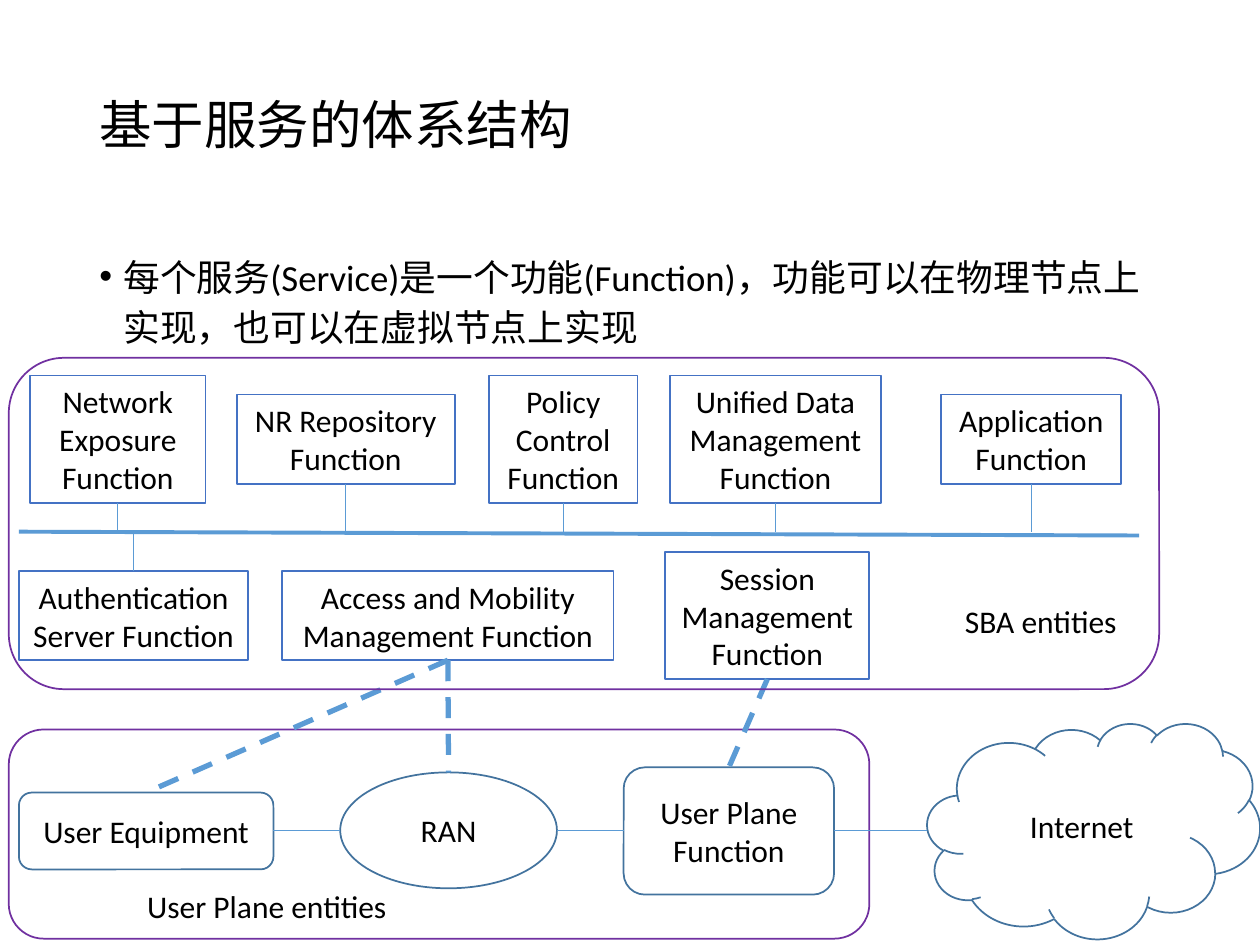
from pptx import Presentation
from pptx.dml.color import RGBColor
from pptx.enum.dml import MSO_LINE
from pptx.enum.shapes import MSO_CONNECTOR, MSO_SHAPE
from pptx.enum.text import MSO_ANCHOR, PP_ALIGN
from pptx.oxml.ns import qn
from pptx.util import Inches, Pt
from lxml.etree import SubElement

COLUMNS, ROWS = 100, 75
CELL = Inches(10) // COLUMNS
BLACK, WHITE = "000000", "FFFFFF"
PURPLE, BLUE, STEEL, SKY = "7030A0", "4472C4", "43739E", "5B9BD5"
BUS_ROW, USER_ROW = 42.2, 65.9

# name, left column, top row, width, height
UPPER_FUNCTIONS = [
    ("Network Exposure Function", 2.4, 29.8, 13.9, 10.1),
    ("NR Repository Function", 18.8, 31.3, 17.3, 7.1),
    ("Policy Control Function", 38.8, 29.8, 11.8, 10.1),
    ("Unified Data Management Function", 53.2, 29.8, 16.7, 10.1),
    ("Application Function", 74.7, 31.3, 14.3, 7.1),
]
LOWER_FUNCTIONS = [
    ("Authentication Server Function", 1.5, 45.3, 18.2, 7.1),
    ("Access and Mobility Management Function", 22.4, 45.3, 26.3, 7.1),
    ("Session Management Function", 52.8, 43.8, 16.2, 10.1),
]
USER_ENTITIES = [
    (MSO_SHAPE.ROUNDED_RECTANGLE, "User Equipment", 1.5, 62.9, 20.2, 6.1),
    (MSO_SHAPE.OVAL, "RAN", 27, 61.3, 17.2, 9.2),
    (MSO_SHAPE.ROUNDED_RECTANGLE, "User Plane\nFunction", 49.5, 60.9, 16.7, 10.1),
]
CLOUD_LEFT = 73.6


def color(value):
    return RGBColor.from_string(value)


def cells(*counts):
    return [round(count * CELL) for count in counts]


class Page:
    """Style and current slide; all lengths are grid columns and rows."""

    font = "Calibri"

    def __init__(self, deck):
        self.shapes = deck.slides.add_slide(deck.slide_layouts[6]).shapes

    def set_text(self, box, text, size=18, align=PP_ALIGN.CENTER, anchor=MSO_ANCHOR.MIDDLE):
        frame = box.text_frame
        frame.word_wrap = True
        frame.vertical_anchor = anchor
        frame.text = text
        for para in frame.paragraphs:
            para.alignment = align
            for span in para.runs:
                span.font.name = self.font
                span.font.size = Pt(size)
                span.font.color.rgb = color(BLACK)

    def label(self, text, left, top, width, height, size=18,
              anchor=MSO_ANCHOR.TOP, wrap=True):
        box = self.shapes.add_textbox(*cells(left, top, width, height))
        self.set_text(box, text, size, PP_ALIGN.LEFT, anchor)
        box.text_frame.word_wrap = wrap
        return box.text_frame.paragraphs[0]

    def bullet(self, text, left, top, width, height, size):
        para = self.label(text, left, top, width, height, size)
        para.line_spacing = 1.14
        para.space_before = Pt(7.5)
        properties = para._p.get_or_add_pPr()
        indent = Inches(0.19)
        properties.set("marL", str(indent))
        properties.set("indent", str(-indent))
        SubElement(properties, qn("a:buFont")).set("typeface", "Arial")
        SubElement(properties, qn("a:buChar")).set("char", "•")

    def shape(self, kind, text, left, top, width, height, outline=STEEL, fill=None):
        box = self.shapes.add_shape(kind, *cells(left, top, width, height))
        box.shadow.inherit = False
        if fill:
            box.fill.solid()
            box.fill.fore_color.rgb = color(fill)
        else:
            box.fill.background()
        box.line.color.rgb = color(outline)
        box.line.width = Pt(1)
        if text:
            self.set_text(box, text)

    def function(self, text, *place):
        self.shape(MSO_SHAPE.RECTANGLE, text, *place, BLUE, WHITE)

    def line(self, start, end, weight=0.5, dashed=False):
        link = self.shapes.add_connector(MSO_CONNECTOR.STRAIGHT, *cells(*start, *end))
        link.line.color.rgb = color(SKY)
        link.line.width = Pt(weight)
        if dashed:
            link.line.dash_style = MSO_LINE.DASH
        SubElement(link._element.spPr, qn("a:effectLst"))


def top_center(left, top, width, height):
    return left + width / 2, top


def bottom_center(left, top, width, height):
    return left + width / 2, top + height


def draw_user_plane(page):
    page.shape(MSO_SHAPE.CLOUD, "Internet", CLOUD_LEFT, 57.4, 26.4, 17.1, fill=WHITE)
    page.shape(MSO_SHAPE.ROUNDED_RECTANGLE, "", 0.7, 57.9, 68.3, 16.6, PURPLE, WHITE)
    for entity in USER_ENTITIES:
        page.shape(*entity)
    rights = [left + width for _, _, left, _, width, _ in USER_ENTITIES]
    next_lefts = [entity[2] for entity in USER_ENTITIES[1:]] + [CLOUD_LEFT]
    for right, next_left in zip(rights, next_lefts):
        page.line((right, USER_ROW), (next_left, USER_ROW))
    page.label("User Plane entities", 10.7, 69.9, 21.2, 4, wrap=False)


def draw_service_functions(page):
    page.line((1.5, BUS_ROW), (90.4, 42.5), weight=2.25)
    for name, *place in UPPER_FUNCTIONS + LOWER_FUNCTIONS:
        page.function(name, *place)
    for _, *place in UPPER_FUNCTIONS:
        column, row = bottom_center(*place)
        page.line((column, row), (column, BUS_ROW))
    authentication = LOWER_FUNCTIONS[0][1:]
    column, row = top_center(*authentication)
    page.line((column, row), (column, BUS_ROW))


def draw_control_links(page):
    _, access, session = [place for _, *place in LOWER_FUNCTIONS]
    equipment, radio, user_plane = [place for _, _, *place in USER_ENTITIES]
    for source, target in [(access, equipment), (access, radio), (session, user_plane)]:
        page.line(bottom_center(*source), top_center(*target), weight=3, dashed=True)


def main():
    deck = Presentation()
    deck.slide_width, deck.slide_height = cells(COLUMNS, ROWS)
    page = Page(deck)
    page.label("基于服务的体系结构", 6.9, 4, 86.2, 12.3, 30, MSO_ANCHOR.MIDDLE).line_spacing = 0.9
    page.bullet("每个服务(Service)是一个功能(Function)，功能可以在物理节点上实现，也可以在虚拟节点上实现",
                6.9, 19.2, 86.2, 10.2, 21)
    draw_user_plane(page)
    draw_service_functions(page)
    draw_control_links(page)
    page.shape(MSO_SHAPE.ROUNDED_RECTANGLE, "", 0.7, 28.4, 91.3, 26.3, PURPLE)
    page.label("SBA entities", 75.6, 47.3, 14.2, 4, wrap=False)
    deck.save("out.pptx")


if __name__ == "__main__":
    main()
